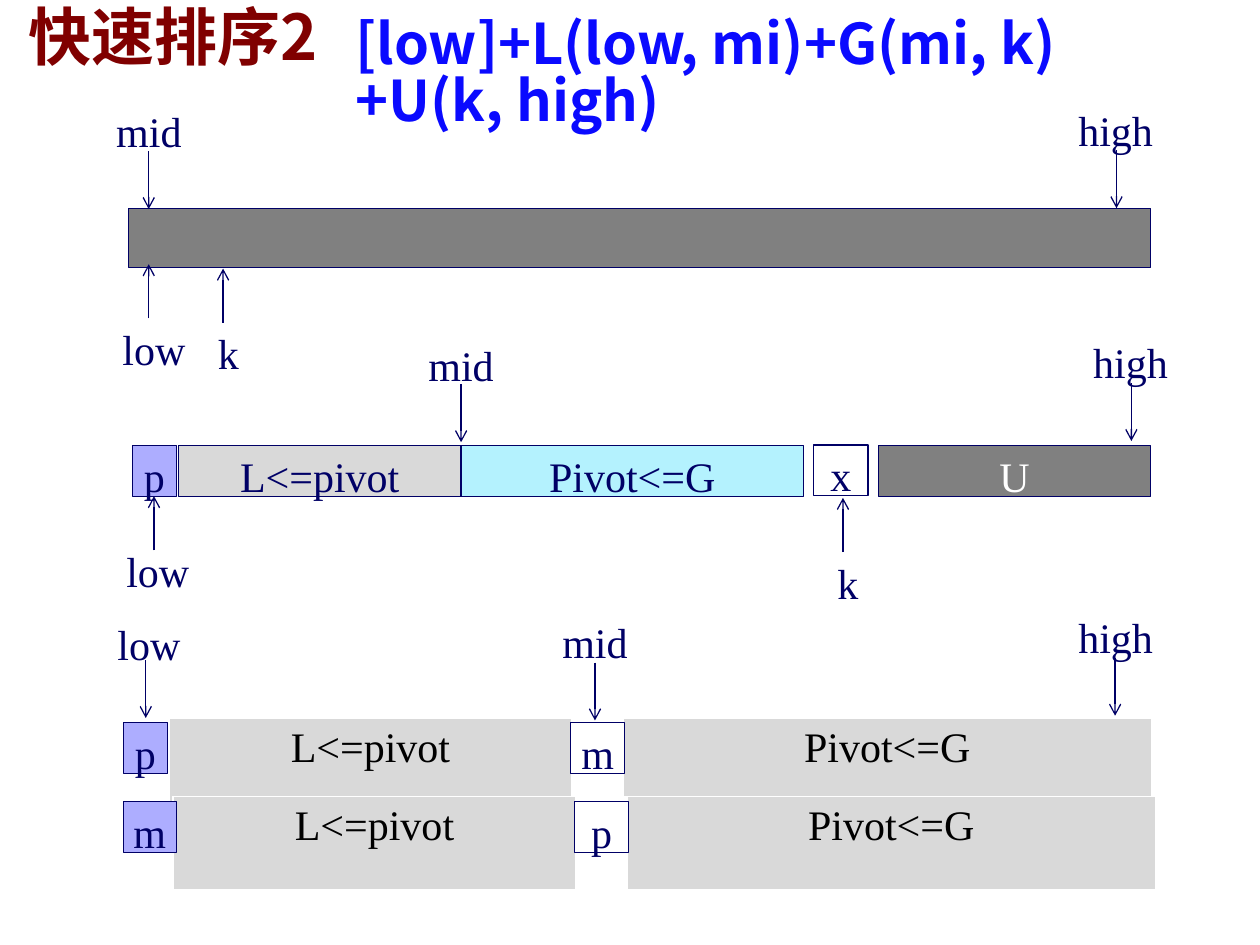
from dataclasses import dataclass
from typing import Optional

from lxml import etree
from pptx import Presentation
from pptx.dml.color import RGBColor
from pptx.enum.shapes import MSO_CONNECTOR, MSO_SHAPE
from pptx.enum.text import MSO_ANCHOR, PP_ALIGN
from pptx.oxml.ns import qn
from pptx.util import Pt

RECT = MSO_SHAPE.RECTANGLE
STRAIGHT = MSO_CONNECTOR.STRAIGHT
TOP = MSO_ANCHOR.TOP
CENTER = PP_ALIGN.CENTER

NAVY = RGBColor(0x00, 0x00, 0x66)
MAROON = RGBColor(0x80, 0x00, 0x00)
BLUE = RGBColor(0x0A, 0x0A, 0xFF)
GRAY = RGBColor(0x80, 0x80, 0x80)
LIGHT = RGBColor(0xD9, 0xD9, 0xD9)
CYAN = RGBColor(0xB4, 0xF2, 0xFE)
LILAC = RGBColor(0xAD, 0xAD, 0xFF)
WHITE = RGBColor(0xFF, 0xFF, 0xFF)
BLACK = RGBColor(0x00, 0x00, 0x00)

SERIF = "Times New Roman"
BODY_SIZE = 24
LABEL_W, LABEL_H = 45, 29
DOWN, UP = 33, -31  # arrow lengths, signed by direction


@dataclass
class Heading:
    text: str
    x: float
    y: float
    w: float
    h: float
    size: float
    font: str
    color: RGBColor


@dataclass
class Box:
    text: str
    x: float
    y: float
    w: float
    h: float = LABEL_H
    fill: Optional[RGBColor] = None
    color: RGBColor = NAVY


@dataclass
class Pointer:
    text: str
    x: float
    y: float
    tip_x: float
    tip_y: float
    length: float


HEADINGS = [
    Heading("快速排序2", 9.4, 1.5, 197, 51, 36, "Noto Sans CJK JP", MAROON),
    Heading("[low]+L(low, mi)+G(mi, k)+U(k, high)", 196, 7, 499, 46, 32,
            "Noto Sans CJK SC", BLUE),
]

BOXES = [
    # Unsorted array
    Box("", 73.5, 119, 584, 34, GRAY),
    # Partition in progress
    Box("p", 75.6, 254.7, 25.2, fill=LILAC),
    Box("L<=pivot", 102, 254.7, 161.5, fill=LIGHT),
    Box("Pivot<=G", 263.5, 254.7, 195.5, fill=CYAN),
    Box("x", 465, 254.2, 31),
    Box("U", 502, 254.7, 155.5, fill=GRAY, color=WHITE),
    # Pivot and middle element, before and after the swap
    Box("p", 70.5, 413, 25.2, fill=LILAC),
    Box("m", 326, 413, 31),
    Box("m", 70.5, 458, 30.2, fill=LILAC),
    Box("p", 328.3, 458, 31),
]

POINTERS = [
    Pointer("mid", 62.6, 57.6, 85, 119.5, DOWN),
    Pointer("high", 615, 57, 638, 119, DOWN),
    Pointer("low", 65.5, 182, 85, 151, UP),
    Pointer("k", 108, 184.5, 127.5, 153.5, UP),
    Pointer("mid", 241, 191, 263.5, 252.7, DOWN),
    Pointer("high", 623.5, 189.5, 646.5, 252, DOWN),
    Pointer("low", 67.7, 309, 88, 283.5, UP),
    Pointer("k", 462, 315.5, 481.7, 284.5, UP),
    Pointer("low", 62.6, 350.5, 83.3, 410.3, DOWN),
    Pointer("mid", 317.5, 349.3, 340, 411.7, DOWN),
    Pointer("high", 615, 346.5, 637.2, 409, DOWN),
]

TABLE_ORIGINS = [(96.5, 410.5), (98.8, 455.2)]
TABLE_CELLS = [("L<=pivot", 230.5, LIGHT), ("", 29, WHITE),
               ("Pivot<=G", 302, LIGHT)]
TABLE_H = 54
BORDERS = [("a:lnL", 1), ("a:lnR", 1), ("a:lnT", 1), ("a:lnB", 3)]


def style(p, size: float, font: str, color: RGBColor) -> None:
    p.font.size = Pt(size)
    p.font.name = font
    p.font.color.rgb = color


def add_heading(s, h: Heading) -> None:
    tf = s.shapes.add_textbox(Pt(h.x), Pt(h.y), Pt(h.w), Pt(h.h)).text_frame
    tf.word_wrap = True
    p = tf.paragraphs[0]
    r = p.add_run()
    r.text = h.text
    p.line_spacing = 0.85
    style(r, h.size, h.font, h.color)
    r.font.bold = True
    ea = etree.SubElement(r.font._element, qn("a:ea"))
    ea.set("typeface", h.font)


def fill_text(sp, text: str, color: RGBColor) -> None:
    tf = sp.text_frame
    tf.word_wrap = True
    tf.vertical_anchor = TOP
    tf.margin_left = tf.margin_right = tf.margin_top = tf.margin_bottom = 0
    p = tf.paragraphs[0]
    p.text = text
    p.alignment = CENTER
    p.line_spacing = 1.1
    style(p, BODY_SIZE, SERIF, color)


def add_box(s, b: Box) -> None:
    sp = s.shapes.add_shape(RECT, Pt(b.x), Pt(b.y), Pt(b.w), Pt(b.h))
    sp.shadow.inherit = False
    if b.fill is None:
        sp.fill.background()
    else:
        sp.fill.solid()
        sp.fill.fore_color.rgb = b.fill
    sp.line.color.rgb = NAVY
    sp.line.width = Pt(0.75)
    if b.text:
        fill_text(sp, b.text, b.color)


def add_pointer(s, ptr: Pointer) -> None:
    label = s.shapes.add_textbox(Pt(ptr.x), Pt(ptr.y), Pt(LABEL_W), Pt(LABEL_H))
    fill_text(label, ptr.text, NAVY)
    arrow = s.shapes.add_connector(STRAIGHT, Pt(ptr.tip_x), Pt(ptr.tip_y - ptr.length),
                                   Pt(ptr.tip_x), Pt(ptr.tip_y))
    arrow.line.color.rgb = NAVY
    arrow.line.width = Pt(0.75)
    etree.SubElement(arrow.line._get_or_add_ln(), qn("a:tailEnd")).set("type", "arrow")
    etree.SubElement(arrow._element.spPr, qn("a:effectLst"))


def add_borders(cell) -> None:
    tc_pr = cell._tc.get_or_add_tcPr()
    for i, (tag, width) in enumerate(BORDERS):
        ln = etree.Element(qn(tag), w=str(Pt(width)))
        solid = etree.SubElement(ln, qn("a:solidFill"))
        etree.SubElement(solid, qn("a:srgbClr")).set("val", str(WHITE))
        tc_pr.insert(i, ln)


def add_partition_table(s, x: float, y: float) -> None:
    width = sum(w for _, w, _ in TABLE_CELLS)
    table = s.shapes.add_table(1, len(TABLE_CELLS), Pt(x), Pt(y),
                               Pt(width), Pt(TABLE_H)).table
    table.first_row = table.horz_banding = False
    for i, (text, w, fill) in enumerate(TABLE_CELLS):
        table.columns[i].width = Pt(w)
        cell = table.cell(0, i)
        cell.fill.solid()
        cell.fill.fore_color.rgb = fill
        add_borders(cell)
        if text:
            p = cell.text_frame.paragraphs[0]
            p.text = text
            p.alignment = CENTER
            style(p, BODY_SIZE, SERIF, BLACK)


def main() -> None:
    prs = Presentation()
    prs.slide_width, prs.slide_height = Pt(720), Pt(540)
    s = prs.slides.add_slide(prs.slide_layouts[6])
    for x, y in TABLE_ORIGINS:
        add_partition_table(s, x, y)
    for b in BOXES:
        add_box(s, b)
    for ptr in POINTERS:
        add_pointer(s, ptr)
    for h in HEADINGS:
        add_heading(s, h)
    prs.save("out.pptx")


if __name__ == "__main__":
    main()
